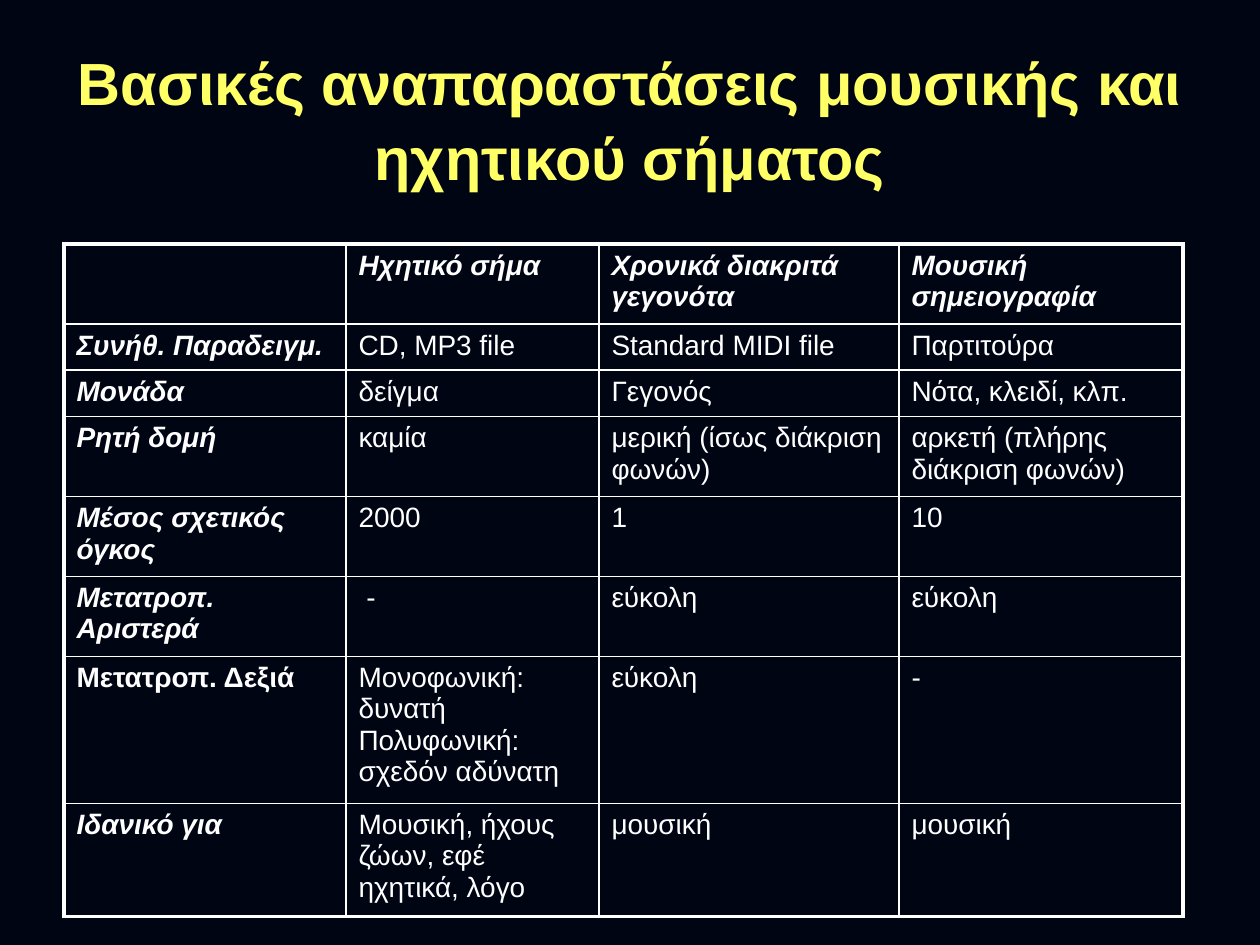
"""Build a slide with a titled table comparing music and audio representations."""
from lxml.etree import SubElement
from pptx import Presentation
from pptx.dml.color import RGBColor
from pptx.enum.text import MSO_ANCHOR, PP_ALIGN
from pptx.oxml.ns import qn
from pptx.util import Pt

SCALE = 914400 / 126
NAVY = RGBColor(0x00, 0x05, 0x14)
YELLOW = RGBColor(0xFF, 0xFF, 0x66)
WHITE = RGBColor(0xFF, 0xFF, 0xFF)
COLUMN_WIDTHS = [282, 253, 300, 284]
ROW_HEIGHTS = [80, 46, 46, 80, 80, 80, 147, 113]
ROWS = [
    ["", "Ηχητικό σήμα", "Χρονικά διακριτά γεγονότα", "Μουσική σημειογραφία"],
    ["Συνήθ. Παραδειγμ.", "CD, MP3 file", "Standard MIDI file", "Παρτιτούρα"],
    ["Μονάδα", "δείγμα", "Γεγονός", "Νότα, κλειδί, κλπ."],
    ["Ρητή δομή", "καμία", "μερική (ίσως διάκριση φωνών)", "αρκετή (πλήρης διάκριση φωνών)"],
    ["Μέσος σχετικός όγκος", "2000", "1", "10"],
    ["Μετατροπ. Αριστερά", " -", "εύκολη", "εύκολη"],
    ["Μετατροπ. Δεξιά", "Μονοφωνική: δυνατή\nΠολυφωνική: σχεδόν αδύνατη", "εύκολη", "-"],
    ["Ιδανικό για", "Μουσική, ήχους ζώων, εφέ ηχητικά, λόγο", "μουσική", "μουσική"],
]
UPRIGHT_LABEL = "Μετατροπ. Δεξιά"


def px(length):
    return round(length * SCALE)


def write_text(text_frame, text, size=16, color=WHITE, bold=False, italic=False,
               align=PP_ALIGN.LEFT, line_spacing=1.0):
    text_frame.word_wrap = True
    text_frame.text = text
    for paragraph in text_frame.paragraphs:
        paragraph.alignment = align
        paragraph.line_spacing = line_spacing
        for run in paragraph.runs:
            run.font.name = "Arial"
            run.font.size = Pt(size)
            run.font.bold = bold
            run.font.italic = italic
            run.font.color.rgb = color


presentation = Presentation()
presentation.slide_width = px(1260)
presentation.slide_height = px(945)
slide = presentation.slides.add_slide(presentation.slide_layouts[6])
slide.background.fill.solid()
slide.background.fill.fore_color.rgb = NAVY

title = slide.shapes.add_textbox(px(63), px(38), px(1134), px(158))
title.text_frame.vertical_anchor = MSO_ANCHOR.MIDDLE
write_text(title.text_frame, "Βασικές αναπαραστάσεις μουσικής και ηχητικού σήματος",
           size=34, color=YELLOW, bold=True, align=PP_ALIGN.CENTER, line_spacing=1.05)

table = slide.shapes.add_table(
    len(ROW_HEIGHTS), len(COLUMN_WIDTHS), px(64), px(244),
    px(sum(COLUMN_WIDTHS)), px(sum(ROW_HEIGHTS))).table
table.first_row = False
table.horz_banding = False
for column, width in zip(table.columns, COLUMN_WIDTHS):
    column.width = px(width)

last_row, last_column = len(ROW_HEIGHTS) - 1, len(COLUMN_WIDTHS) - 1
for row_index, (texts, height) in enumerate(zip(ROWS, ROW_HEIGHTS)):
    table.rows[row_index].height = px(height)
    for column_index, text in enumerate(texts):
        cell = table.cell(row_index, column_index)
        heading = row_index == 0 or column_index == 0
        write_text(cell.text_frame, text, bold=heading,
                   italic=heading and text != UPRIGHT_LABEL)
        outer_edges = {
            "a:lnL": column_index == 0,
            "a:lnR": column_index == last_column,
            "a:lnT": row_index == 0,
            "a:lnB": row_index == last_row,
        }
        properties = cell._tc.get_or_add_tcPr()
        for tag, outer in outer_edges.items():
            border = SubElement(properties, qn(tag), w=str(Pt(2.25 if outer else 1)))
            border_fill = SubElement(border, qn("a:solidFill"))
            SubElement(border_fill, qn("a:srgbClr"), val=str(WHITE))
        cell.fill.background()

presentation.save("out.pptx")
